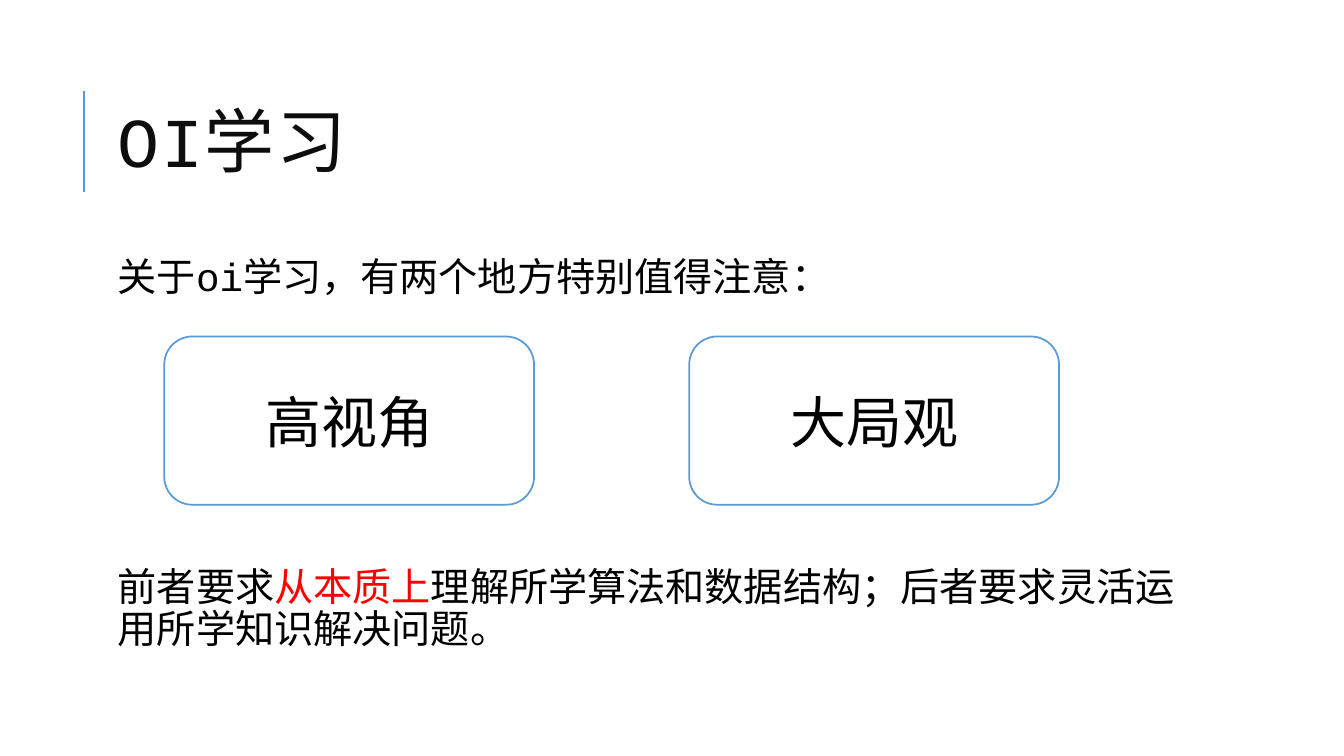
from dataclasses import dataclass

from lxml.etree import SubElement
from pptx import Presentation
from pptx.dml.color import RGBColor
from pptx.enum.shapes import MSO_CONNECTOR, MSO_SHAPE
from pptx.enum.text import MSO_ANCHOR, PP_ALIGN
from pptx.oxml.ns import qn
from pptx.slide import Slide
from pptx.text.text import _Run as Run
from pptx.util import Cm, Pt

FONT = "Courier New"
BLACK, TITLE_GREY, RED = "000000", "0D0D0D", "FF0000"
WHITE, BLUE = "FFFFFF", "5B9BD5"
TEXT_LEFT, TEXT_WIDTH = 2.84, 27.0
CARD_LEFT, CARD_TOP, CARD_PITCH = 4.14, 8.48, 13.23
CARD_WIDTH, CARD_HEIGHT = 9.32, 4.24


@dataclass
class Piece:
    text: str
    color: str = BLACK


@dataclass
class TextBlock:
    top: float
    height: float
    pieces: list[Piece]
    size: float = 28
    line_spacing: float = 0.9
    anchor: MSO_ANCHOR = MSO_ANCHOR.TOP
    letter_spacing: float = 0


BLOCKS = [
    TextBlock(1.63, 4.17, [Piece("OI学习", TITLE_GREY)], 50, 0.8, MSO_ANCHOR.MIDDLE, 1),
    TextBlock(6.35, 1.6, [Piece("关于oi学习，有两个地方特别值得注意：")]),
    TextBlock(14.17, 3.3, [
        Piece("前者要求"),
        Piece("从本质上", RED),
        Piece("理解所学算法和数据结构；后者要求灵活运用所学知识解决问题。"),
    ]),
]
CARDS = ["高视角", "大局观"]


def rgb(color: str) -> RGBColor:
    return RGBColor.from_string(color)


def format_run(run: Run, size: float, color: str) -> None:
    """Set the font for Latin and East Asian text alike."""
    run.font.name = FONT
    run.font.size = Pt(size)
    run.font.color.rgb = rgb(color)
    SubElement(run.font._element, qn("a:ea"), typeface=FONT)


def add_block(slide: Slide, block: TextBlock) -> None:
    box = slide.shapes.add_textbox(
        Cm(TEXT_LEFT), Cm(block.top), Cm(TEXT_WIDTH), Cm(block.height))
    frame = box.text_frame
    frame.word_wrap = True
    frame.vertical_anchor = block.anchor
    frame.margin_left = frame.margin_right = Cm(0.13)
    frame.margin_top = frame.margin_bottom = Cm(0.13)
    paragraph = frame.paragraphs[0]
    paragraph.line_spacing = block.line_spacing
    for piece in block.pieces:
        run = paragraph.add_run()
        run.text = piece.text
        format_run(run, block.size, piece.color)
        if block.letter_spacing:
            run.font._element.set("spc", str(round(block.letter_spacing * 100)))


def add_card(slide: Slide, index: int, label: str) -> None:
    card = slide.shapes.add_shape(
        MSO_SHAPE.ROUNDED_RECTANGLE, Cm(CARD_LEFT + index * CARD_PITCH),
        Cm(CARD_TOP), Cm(CARD_WIDTH), Cm(CARD_HEIGHT))
    card.shadow.inherit = False
    card.fill.solid()
    card.fill.fore_color.rgb = rgb(WHITE)
    card.line.color.rgb = rgb(BLUE)
    card.line.width = Pt(1.25)
    card.text_frame.text = label
    card.text_frame.vertical_anchor = MSO_ANCHOR.MIDDLE
    paragraph = card.text_frame.paragraphs[0]
    paragraph.alignment = PP_ALIGN.CENTER
    format_run(paragraph.runs[0], 40, BLACK)


def add_title_rule(slide: Slide) -> None:
    rule = slide.shapes.add_connector(
        MSO_CONNECTOR.STRAIGHT, Cm(2.12), Cm(4.83), Cm(2.12), Cm(2.29))
    rule.line.color.rgb = rgb(BLUE)
    rule.line.width = Pt(1.5)
    SubElement(rule._element.spPr, qn("a:effectLst"))


def main() -> None:
    presentation = Presentation()
    presentation.slide_width, presentation.slide_height = Cm(33.87), Cm(19.05)
    slide = presentation.slides.add_slide(presentation.slide_layouts[6])
    add_title_rule(slide)
    for block in BLOCKS:
        add_block(slide, block)
    for index, label in enumerate(CARDS):
        add_card(slide, index, label)
    presentation.save("out.pptx")


if __name__ == "__main__":
    main()
